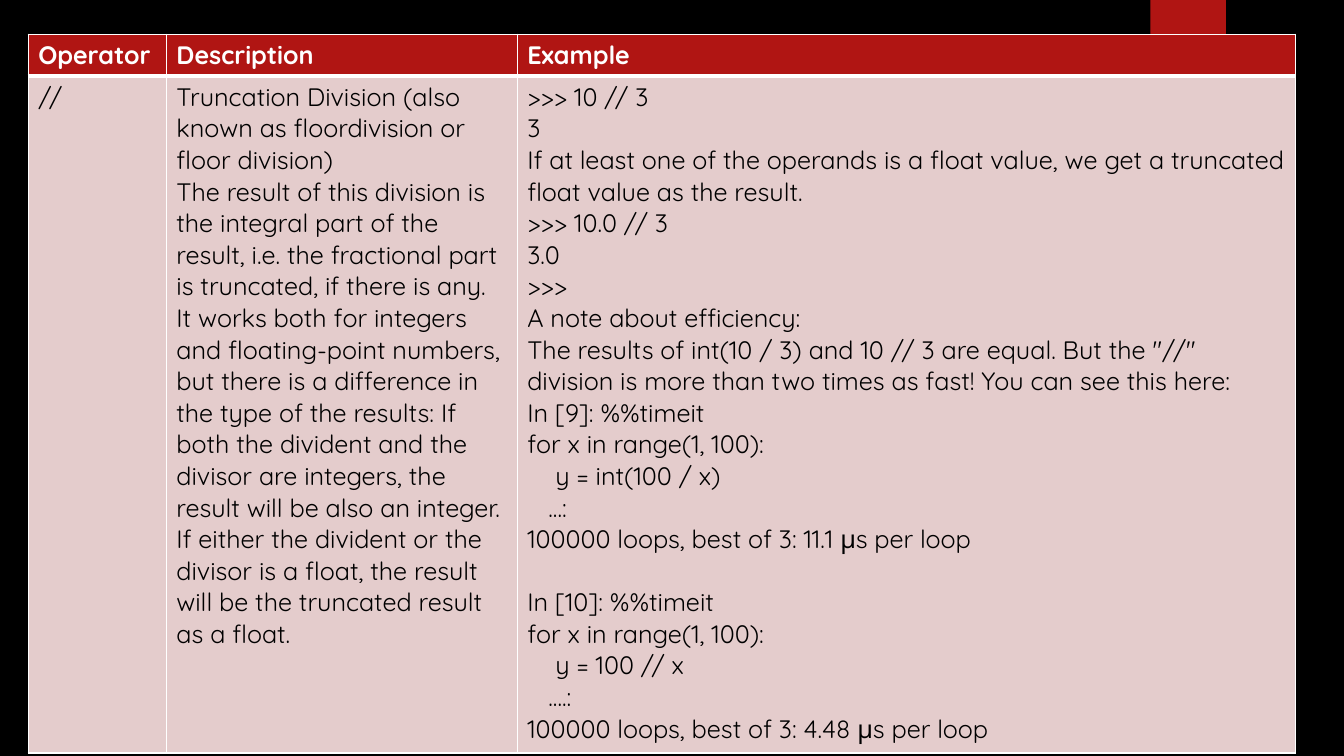
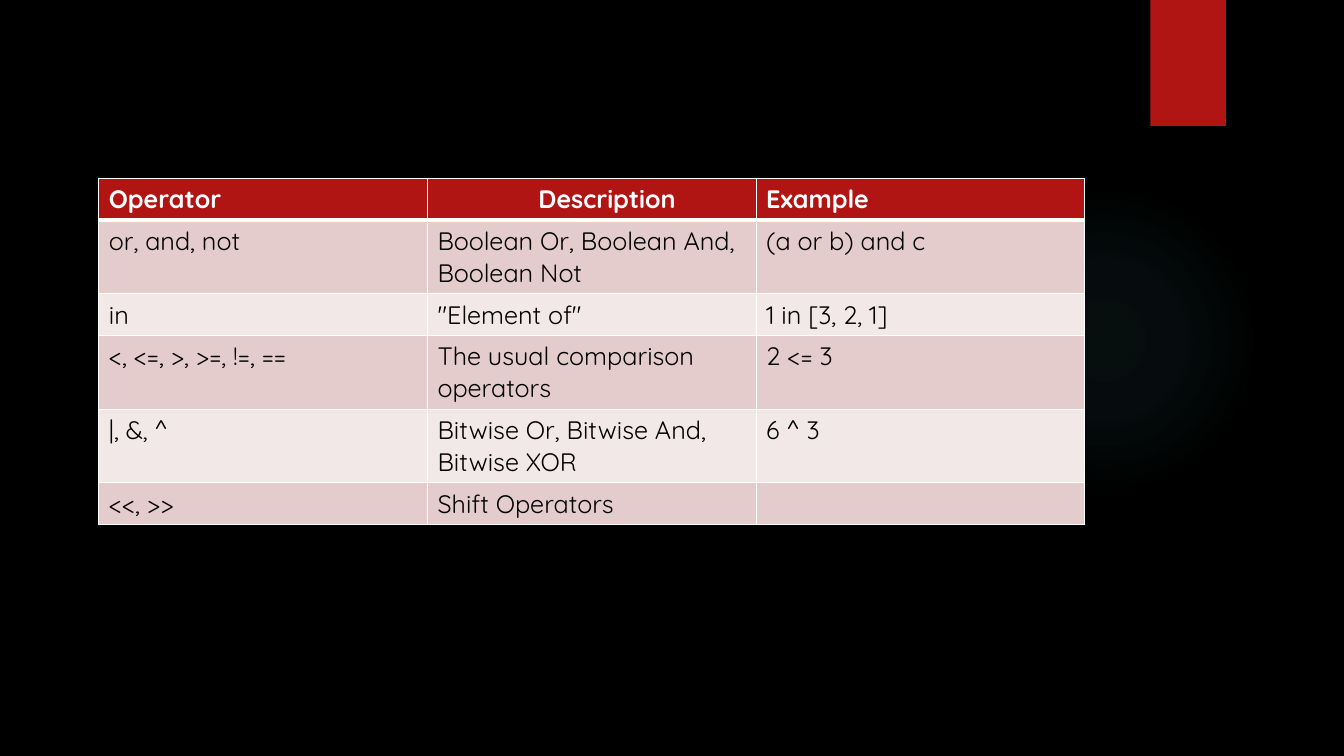
"""Build two slides of Python operator tables on a shared dark master."""
from dataclasses import dataclass

from lxml import etree
from pptx import Presentation
from pptx.dml.color import RGBColor
from pptx.enum.shapes import MSO_SHAPE
from pptx.oxml import parse_xml
from pptx.oxml.ns import nsdecls, qn
from pptx.util import Emu, Inches, Pt

RECT, OVAL = MSO_SHAPE.RECTANGLE, MSO_SHAPE.OVAL

BLACK = RGBColor(0x00, 0x00, 0x00)
WHITE = RGBColor(0xFF, 0xFF, 0xFF)
RED = RGBColor(0xB0, 0x15, 0x13)
TEAL = RGBColor(0x50, 0xB9, 0xC1)
BANDS = (RGBColor(0xE4, 0xCC, 0xCC), RGBColor(0xF2, 0xE8, 0xE7))

FONT = "Quicksand"
SIZE = 18
LINE_PT = 22.5
LINE_IN = 0.315
CELL_PAD = 0.1
SPACE_IN = 0.07
THIN, THICK = 1, 3


@dataclass(frozen=True)
class Line:
    """A paragraph with its indent in inches and space before in points."""
    text: str
    indent: float = 0
    before: float = 0


@dataclass(frozen=True)
class Row:
    """Cells of a table row and the number of text lines it is high."""
    cells: tuple
    lines: int = 1


@dataclass(frozen=True)
class Grid:
    """A table with its corner, column widths and rows."""
    left: float
    top: float
    cols: tuple
    rows: tuple


def code(statement: str, dots: str, number: int, time: str, before: float = 0) -> tuple:
    """Return the lines of one timing session."""
    return (Line(f"In [{number}]: %%timeit", before=before),
            Line("for x in range(1, 100):"),
            Line(statement, 4 * SPACE_IN),
            Line(dots, 3 * SPACE_IN),
            Line(f"100000 loops, best of 3: {time} μs per loop"))


DIVISION = Grid(0.28, 0.34, (1.37, 3.48, 7.72), (
    Row(("Operator", "Description", "Example")),
    Row((
        "//",
        (Line("Truncation Division (also known as floordivision or floor division)"),
         Line("The result of this division is the integral part of the result, i.e. "
              "the fractional part is truncated, if there is any."),
         Line("It works both for integers and floating-point numbers, but there is a "
              "difference in the type of the results: If both the divident and the "
              "divisor are integers, the result will be also an integer. If either the "
              "divident or the divisor is a float, the result will be the truncated "
              "result as a float.")),
        (Line(">>> 10 // 3"),
         Line("3"),
         Line("If at least one of the operands is a float value, we get a truncated "
              "float value as the result."),
         Line(">>> 10.0 // 3"),
         Line("3.0"),
         Line(">>>"),
         Line("A note about efficiency:"),
         Line('The results of int(10 / 3) and 10 // 3 are equal. But the "//" division '
              "is more than two times as fast! You can see this here:"),
         *code("y = int(100 / x)", "...:", 9, "11.1"),
         *code("y = 100 // x", "....:", 10, "4.48", before=LINE_PT)),
    ), 21),
))

OPERATORS = Grid(0.98, 1.77, (3.26,) * 3, (
    Row(("Operator", (Line("Description", indent=1),), "Example")),
    Row(("or, and, not", "Boolean Or, Boolean And, Boolean Not", "(a or b) and c"), 2),
    Row(("in", '"Element of"', "1 in [3, 2, 1]")),
    Row(("<, <=, >, >=, !=, ==", "The usual comparison operators", "2 <= 3"), 2),
    Row(("|, &, ^", "Bitwise Or, Bitwise And, Bitwise XOR", "6 ^ 3"), 2),
    Row(("<<, >>", "Shift Operators", "")),
))


def write(tf, content, *, color: RGBColor, bold: bool = False) -> None:
    """Fill a text frame with a string or a tuple of lines."""
    lines = (Line(content),) if isinstance(content, str) else content
    for i, line in enumerate(lines):
        p = tf.add_paragraph() if i else tf.paragraphs[0]
        p.space_before = Pt(line.before)
        p.font.size = Pt(SIZE)
        if line.indent:
            p._p.get_or_add_pPr().set("marL", str(Inches(line.indent)))
        if line.text:
            r = p.add_run()
            r.text = line.text
            r.font.name, r.font.size = FONT, Pt(SIZE)
            r.font.bold, r.font.color.rgb = bold, color


def set_borders(cell, top: float, bottom: float) -> None:
    """Draw white borders on the four sides of a cell."""
    tc_pr = cell._tc.get_or_add_tcPr()
    for side, width in (("L", THIN), ("R", THIN), ("T", top), ("B", bottom)):
        ln = etree.SubElement(tc_pr, qn(f"a:ln{side}"), w=str(Pt(width)))
        fill = etree.SubElement(ln, qn("a:solidFill"))
        etree.SubElement(fill, qn("a:srgbClr"), val=str(WHITE))


def add_grid(slide, grid: Grid) -> None:
    """Draw a table with a red header and banded rows."""
    heights = [Inches(row.lines * LINE_IN + CELL_PAD) for row in grid.rows]
    table = slide.shapes.add_table(
        len(grid.rows), len(grid.cols), Inches(grid.left), Inches(grid.top),
        Inches(sum(grid.cols)), Emu(sum(heights))).table
    for col, width in zip(table.columns, grid.cols):
        col.width = Inches(width)
    for i, row in enumerate(grid.rows):
        table.rows[i].height = heights[i]
        header = i == 0
        for j, content in enumerate(row.cells):
            cell = table.cell(i, j)
            set_borders(cell, THICK if i == 1 else THIN, THICK if header else THIN)
            cell.fill.solid()
            cell.fill.fore_color.rgb = RED if header else BANDS[(i - 1) % 2]
            write(cell.text_frame, content,
                  color=WHITE if header else BLACK, bold=header)


def add_plain(slide, kind, left: float, top: float, width: float, height: float):
    """Add a red shape without line or shadow."""
    sp = slide.shapes.add_shape(
        kind, Inches(left), Inches(top), Inches(width), Inches(height))
    sp.shadow.inherit = False
    sp.fill.solid()
    sp.fill.fore_color.rgb = RED
    sp.line.fill.background()
    return sp


def set_glow(sp) -> None:
    """Give a shape a faint radial gradient."""
    stops = "".join(
        f'<a:gs pos="{pos * 1000}"><a:srgbClr val="{TEAL}">'
        f'<a:alpha val="{alpha * 1000}"/></a:srgbClr></a:gs>'
        for pos, alpha in ((0, 7), (36, 6), (69, 0), (100, 0)))
    sp_pr = sp.element.spPr
    sp_pr.replace(sp_pr.find(qn("a:solidFill")), parse_xml(
        f'<a:gradFill {nsdecls("a")}><a:gsLst>{stops}</a:gsLst><a:path path="circle">'
        '<a:fillToRect l="50000" t="50000" r="50000" b="50000"/></a:path></a:gradFill>'))


def set_shadow(sp) -> None:
    """Give a shape a soft shadow straight below it."""
    sp.element.spPr.find(qn("a:effectLst")).append(parse_xml(
        f'<a:outerShdw {nsdecls("a")} blurRad="{Pt(3)}" dist="{Pt(2)}" dir="5400000">'
        f'<a:srgbClr val="{BLACK}"><a:alpha val="45000"/></a:srgbClr></a:outerShdw>'))


def style_master(prs, slide) -> None:
    """Put the dark background, glow and red tab on the master."""
    master = prs.slide_master
    master.background.fill.solid()
    master.background.fill.fore_color.rgb = BLACK
    glow = add_plain(slide, OVAL, 9.41, 1.83, 3.08, 3.08)
    set_glow(glow)
    tab = add_plain(slide, RECT, 11.41, 0, 0.75, 1.25)
    set_shadow(tab)
    for sp in (glow, tab):
        master.shapes.element.append(sp.element)


def main() -> None:
    """Build and save the presentation."""
    prs = Presentation()
    prs.slide_width, prs.slide_height = Inches(13.33), Inches(7.5)
    blank = prs.slide_layouts.get_by_name("Blank")
    slides = [prs.slides.add_slide(blank) for _ in range(2)]
    style_master(prs, slides[0])
    for slide, grid in zip(slides, (DIVISION, OPERATORS)):
        add_grid(slide, grid)
    prs.save("out.pptx")


if __name__ == "__main__":
    main()
